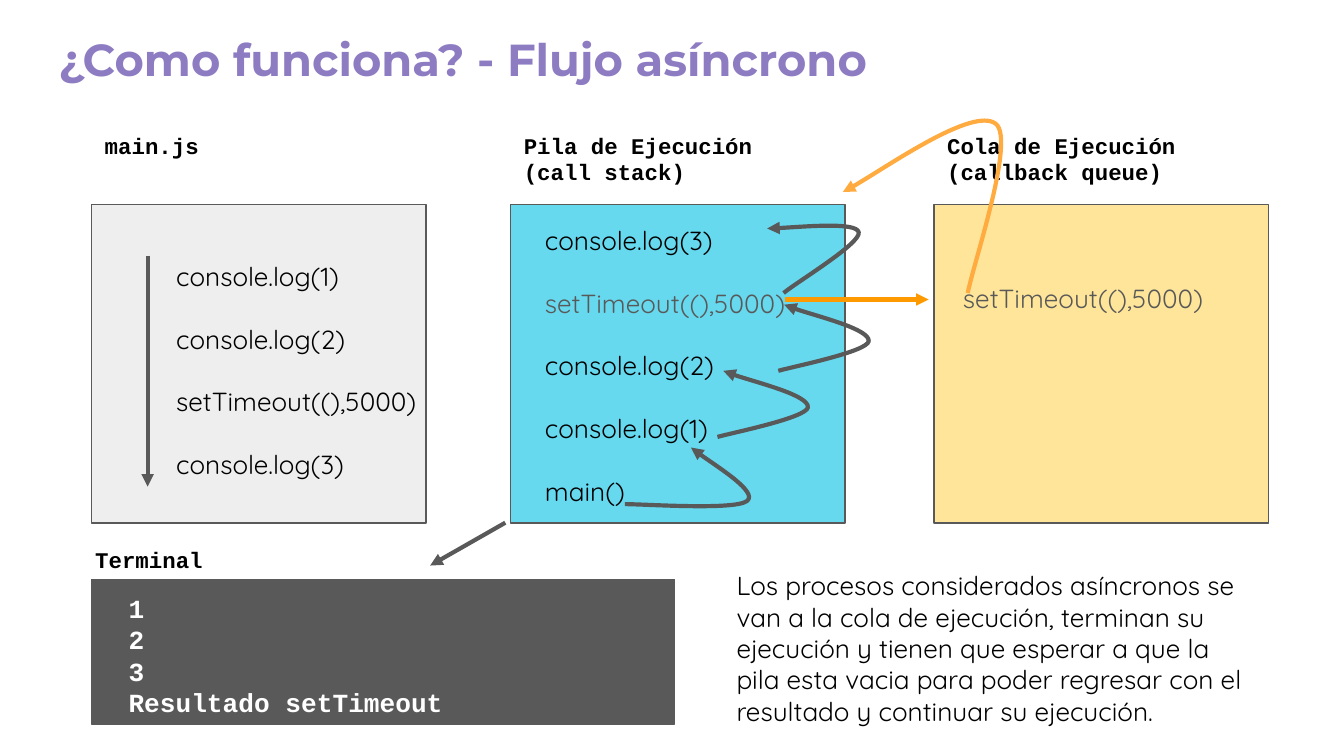
from dataclasses import dataclass

from lxml import etree
from pptx import Presentation
from pptx.dml.color import RGBColor
from pptx.enum.shapes import MSO_CONNECTOR, MSO_SHAPE
from pptx.enum.text import MSO_ANCHOR, PP_ALIGN
from pptx.oxml.ns import qn
from pptx.util import Cm, Pt

RECTANGLE = MSO_SHAPE.RECTANGLE
STRAIGHT = MSO_CONNECTOR.STRAIGHT
LEFT = PP_ALIGN.LEFT
TOP, MIDDLE = MSO_ANCHOR.TOP, MSO_ANCHOR.MIDDLE
TITLE_ONLY = 5


@dataclass(frozen=True)
class Theme:
    title_font: str = "Montserrat"
    label_font: str = "Courier New"
    body_font: str = "Quicksand"
    title_size: int = 24
    label_size: int = 12
    body_size: int = 14
    leading: float = 1.2
    border: float = 0.75
    arrow: float = 2.25
    purple: str = "8E7CC3"
    black: str = "000000"
    white: str = "FFFFFF"
    dark: str = "595959"
    grey: str = "EEEEEE"
    blue: str = "66D9EF"
    yellow: str = "FFE599"
    orange: str = "FF9900"
    amber: str = "FFAB40"


THEME = Theme()


def rgb(value):
    return RGBColor.from_string(value)


def set_font(para, name, size, color, bold=False):
    para.font.name = name
    para.font.size = Pt(size)
    para.font.color.rgb = rgb(color)
    para.font.bold = bold


def set_frame(frame, anchor=TOP):
    frame.word_wrap = True
    frame.vertical_anchor = anchor
    frame.margin_left = frame.margin_right = Cm(0.25)
    frame.margin_top = frame.margin_bottom = Cm(0.25)


def add_text(slide, box, lines, name, size, color=THEME.black, bold=False, gap=0, muted=()):
    frame = slide.shapes.add_textbox(*map(Cm, box)).text_frame
    set_frame(frame)
    for index, line in enumerate(lines):
        para = frame.paragraphs[0] if index == 0 else frame.add_paragraph()
        para.text = line
        para.line_spacing = Pt(size * THEME.leading)
        if index:
            para.space_before = Pt(gap)
        set_font(para, name, size, THEME.dark if line in muted else color, bold)


def add_label(slide, box, lines):
    add_text(slide, box, lines, THEME.label_font, THEME.label_size, bold=True)


def add_code(slide, box, lines, muted=()):
    # One blank line's height separates the calls
    add_text(slide, box, lines, THEME.body_font, THEME.body_size,
             gap=THEME.body_size * THEME.leading, muted=muted)


def add_block(slide, box, fill):
    block = slide.shapes.add_shape(RECTANGLE, *map(Cm, box))
    block.shadow.inherit = False
    block.fill.solid()
    block.fill.fore_color.rgb = rgb(fill)
    block.line.color.rgb = rgb(THEME.dark)
    block.line.width = Pt(THEME.border)


def style_arrow(shape, color):
    shape.line.color.rgb = rgb(color)
    shape.line.width = Pt(THEME.arrow)
    etree.SubElement(shape.line._get_or_add_ln(), qn("a:tailEnd"), type="triangle")
    etree.SubElement(shape._element.spPr, qn("a:effectLst"))


def add_arrow(slide, start, end, color=THEME.dark):
    style_arrow(slide.shapes.add_connector(STRAIGHT, *map(Cm, start + end)), color)


def add_curve(slide, points, color=THEME.dark):
    """Draw a start point followed by cubic segments of three points each."""
    start, *rest = [(Cm(x), Cm(y)) for x, y in points]
    builder = slide.shapes.build_freeform(*start)
    builder.add_line_segments(rest, close=False)
    curve = builder.convert_to_shape()
    outline = curve._element.find(".//" + qn("a:path"))
    corners = outline.findall(qn("a:lnTo"))
    for first in range(0, len(corners), 3):
        cubic = etree.SubElement(outline, qn("a:cubicBezTo"))
        for corner in corners[first:first + 3]:
            cubic.append(corner[0])
            outline.remove(corner)
    curve.fill.background()
    style_arrow(curve, color)


def add_title(slide, box, text):
    title = slide.shapes.title
    title.left, title.top, title.width, title.height = map(Cm, box)
    set_frame(title.text_frame, MIDDLE)
    para = title.text_frame.paragraphs[0]
    para.text = text
    para.alignment = LEFT
    set_font(para, THEME.title_font, THEME.title_size, THEME.purple, bold=True)


def add_panel(slide, box, heading, fill, code, offset, muted=()):
    left, top, width, height = box
    add_block(slide, box, fill)
    add_label(slide, (left, top - 1.63, 5.18, 1.55), heading)
    shift, drop = offset
    add_code(slide, (left + shift, top + drop, 5.4, height - drop), code, muted)


def add_terminal(slide, box, heading, output):
    left, top, width, height = box
    add_block(slide, box, THEME.dark)
    add_label(slide, (left - 0.18, top - 0.87, 2.97, 1.02), [heading])
    add_text(slide, (left + 0.45, top, 8, height), output, THEME.label_font,
             THEME.body_size, THEME.white, bold=True)


def add_explanation(slide, box, text):
    add_text(slide, box, [text], THEME.body_font, THEME.body_size)


def add_flow(slide):
    # Straight steps: reading order, output, hand-over to the queue
    add_arrow(slide, (2.79, 4.83), (2.79, 9.2))
    add_arrow(slide, (9.55, 9.88), (8.13, 10.69))
    add_arrow(slide, (14.83, 5.66), (17.55, 5.66), THEME.orange)

    # Curved steps up the call stack
    step = [(13.56, 8.26), (13.84, 8.18), (15.24, 7.9), (15.27, 7.7),
            (15.29, 7.47), (13.94, 7.14), (13.67, 7.01)]
    add_curve(slide, step)
    add_curve(slide, [(x + 1.15, y - 1.25) for x, y in step])
    add_curve(slide, [(11.81, 9.53), (12.19, 9.53), (13.89, 9.65), (14.12, 9.47),
                      (14.33, 9.3), (13.23, 8.61), (13.06, 8.46)])
    add_curve(slide, [(14.81, 5.54), (15.06, 5.33), (16.28, 4.6), (16.23, 4.39),
                      (16.18, 4.19), (14.78, 4.32), (14.5, 4.32)])

    # Return from the queue to the stack
    add_curve(slide, [(18.29, 5.54), (18.39, 5), (19.2, 2.64), (18.82, 2.34),
                      (18.39, 2.01), (16.41, 3.4), (15.93, 3.63)], THEME.amber)


def main():
    deck = Presentation()
    deck.slide_width, deck.slide_height = Cm(25.4), Cm(14.29)
    slide = deck.slides.add_slide(deck.slide_layouts[TITLE_ONLY])
    add_title(slide, (0.86, 0.3, 23.67, 1.6), "¿Como funciona? - Flujo asíncrono")

    timer = "setTimeout((),5000)"
    logs = [f"console.log({number})" for number in (1, 2, 3)]
    panels = [
        (1.73, ["main.js"], THEME.grey,
         [logs[0], logs[1], timer, logs[2]], (1.35, 0.8), ()),
        (9.65, ["Pila de Ejecución", "(call stack)"], THEME.blue,
         [logs[2], timer, logs[1], logs[0], "main()"], (0.4, 0.12), (timer,)),
        (17.65, ["Cola de Ejecución", "(callback queue)"], THEME.yellow,
         [timer], (0.3, 1.22), (timer,)),
    ]
    for left, *content in panels:
        add_panel(slide, (left, 3.87, 6.32, 6.02), *content)

    add_terminal(slide, (1.73, 10.95, 11.02, 2.74), "Terminal",
                 ["1", "2", "3", "Resultado setTimeout"])
    add_explanation(slide, (13.67, 10.52, 10.11, 3.51),
                    "Los procesos considerados asíncronos se van a la cola de ejecución, "
                    "terminan su ejecución y tienen que esperar a que la pila esta vacia "
                    "para poder regresar con el resultado y continuar su ejecución.")
    add_flow(slide)
    deck.save("out.pptx")


if __name__ == "__main__":
    main()
